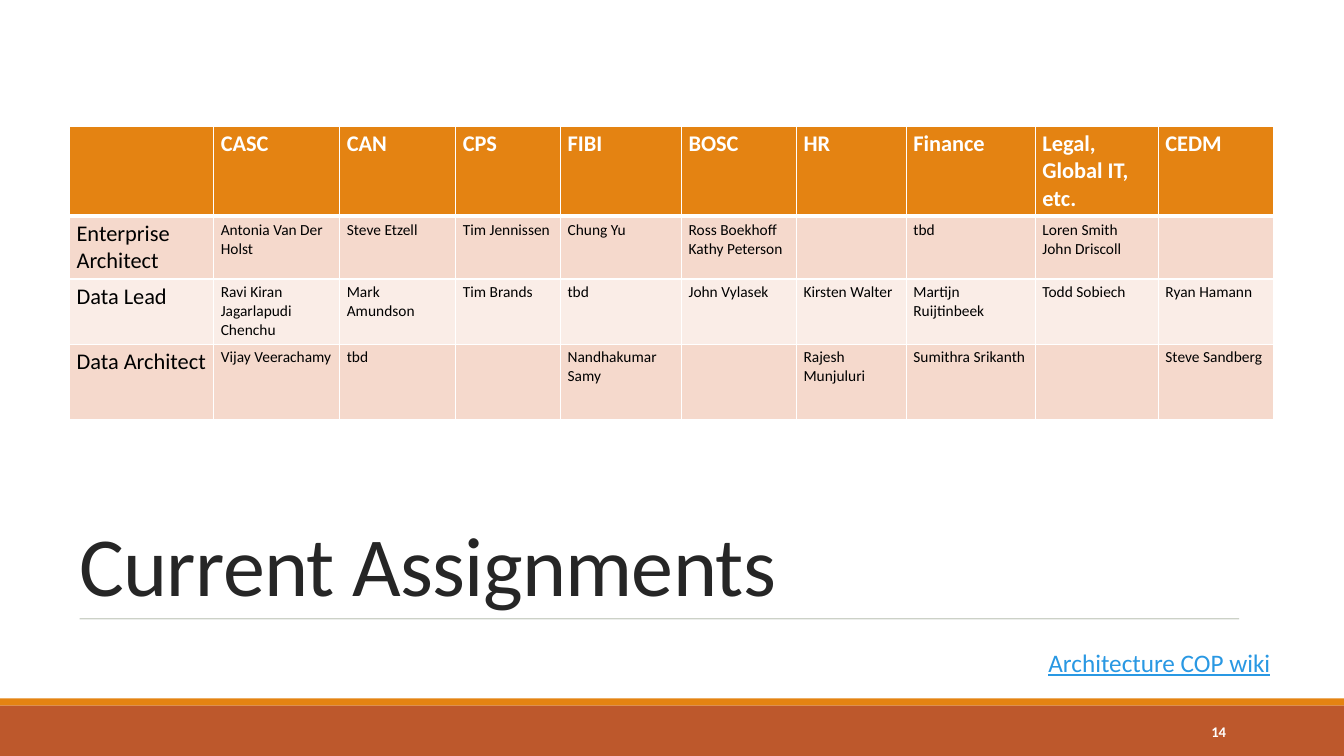
from dataclasses import dataclass

import pptx
import pptx.dml.color
import pptx.enum.shapes
import pptx.enum.text
import pptx.oxml
import pptx.oxml.ns
import pptx.util
from pptx.util import Inches

ANCHOR = pptx.enum.text.MSO_ANCHOR
ALIGN = pptx.enum.text.PP_ALIGN


@dataclass(frozen=True)
class Theme:
    font: str = "Calibri"
    white: str = "FFFFFF"
    black: str = "000000"
    title: str = "262626"
    rule: str = "637052"
    link: str = "2998E3"
    orange: str = "E48312"
    rust: str = "BD582C"
    band_dark: str = "F5D9CC"
    band_light: str = "FAEDE7"
    title_size: float = 60
    link_size: float = 18
    label_size: float = 16
    name_size: float = 11
    number_size: float = 10.5


@dataclass(frozen=True)
class Bar:
    top: float
    height: float
    color: str


@dataclass(frozen=True)
class Label:
    text: str
    left: float
    top: float
    width: float
    height: float
    size: float
    color: str
    bold: bool = False
    underline: bool = False
    wrap: bool = True
    anchor: ANCHOR = ANCHOR.TOP
    align: ALIGN = ALIGN.LEFT
    line_spacing: float = 1.0
    space_after: float = 0
    tracking: int = 0


@dataclass(frozen=True)
class Row:
    height: float
    cells: tuple[str, ...]


THEME = Theme()
SLIDE_WIDTH, SLIDE_HEIGHT = 13.33, 7.5

BARS = (
    Bar(6.93, 0.07, THEME.orange),
    Bar(7, 0.5, THEME.rust),
)

LABELS = (
    Label("Current Assignments", 0.69, 4.98, 11.93, 1.16, THEME.title_size, THEME.title,
          anchor=ANCHOR.BOTTOM, line_spacing=0.85, tracking=-50),
    Label("14", 10.83, 7.06, 1.43, 0.4, THEME.number_size, THEME.white, bold=True,
          wrap=False, anchor=ANCHOR.MIDDLE, align=ALIGN.RIGHT, space_after=6),
    Label("Architecture COP wiki", 10.3, 6.37, 2.48, 0.4, THEME.link_size, THEME.link,
          underline=True),
)

COLUMN_WIDTHS = (1.43, 1.25, 1.15, 1.04, 1.2, 1.14, 1.09, 1.28, 1.22, 1.14)

ROWS = (
    Row(0.53, ("", "CASC", "CAN", "CPS", "FIBI", "BOSC", "HR", "Finance",
               "Legal, Global IT, etc.", "CEDM")),
    Row(0.6, ("Enterprise Architect", "Antonia Van Der Holst", "Steve Etzell",
              "Tim Jennissen", "Chung Yu", "Ross Boekhoff\nKathy Peterson", "", "tbd",
              "Loren Smith\nJohn Driscoll", "")),
    Row(0.6, ("Data Lead", "Ravi Kiran Jagarlapudi Chenchu", "Mark Amundson",
              "Tim Brands", "tbd", "John Vylasek", "Kirsten Walter",
              "Martijn Ruijtinbeek", "Todd Sobiech", "Ryan Hamann")),
    Row(0.75, ("Data Architect", "Vijay Veerachamy", "tbd", "", "Nandhakumar Samy", "",
               "Rajesh Munjuluri", "Sumithra Srikanth", "", "Steve Sandberg")),
)


def rgb(color: str) -> pptx.dml.color.RGBColor:
    return pptx.dml.color.RGBColor.from_string(color)


def format_runs(p, size: float, color: str, bold: bool = False,
                underline: bool = False) -> None:
    for r in p.runs:
        r.font.name = THEME.font
        r.font.size = pptx.util.Pt(size)
        r.font.bold = bold
        r.font.underline = underline
        r.font.color.rgb = rgb(color)


def draw_bar(s, bar: Bar) -> None:
    sp = s.shapes.add_shape(pptx.enum.shapes.MSO_SHAPE.RECTANGLE, 0, Inches(bar.top),
                            Inches(SLIDE_WIDTH), Inches(bar.height))
    sp.shadow.inherit = False
    sp.fill.solid()
    sp.fill.fore_color.rgb = rgb(bar.color)
    sp.line.fill.background()


def draw_rule(s, left: float, right: float, top: float) -> None:
    line = s.shapes.add_connector(pptx.enum.shapes.MSO_CONNECTOR.STRAIGHT, Inches(left),
                                  Inches(top), Inches(right), Inches(top))
    line.line.color.rgb = rgb(THEME.rule)
    line.line.width = pptx.util.Pt(0.5)
    sp_pr = line._element.spPr
    color = sp_pr.find(".//" + pptx.oxml.ns.qn("a:srgbClr"))
    color.append(pptx.oxml.parse_xml(
        f'<a:alpha {pptx.oxml.ns.nsdecls("a")} val="90000"/>'))
    sp_pr.append(pptx.oxml.parse_xml(f'<a:effectLst {pptx.oxml.ns.nsdecls("a")}/>'))


def draw_label(s, label: Label) -> None:
    box = s.shapes.add_textbox(Inches(label.left), Inches(label.top),
                               Inches(label.width), Inches(label.height))
    tf = box.text_frame
    tf.word_wrap = label.wrap
    tf.vertical_anchor = label.anchor
    tf.text = label.text
    p = tf.paragraphs[0]
    p.alignment = label.align
    p.line_spacing = label.line_spacing
    p.space_after = pptx.util.Pt(label.space_after)
    format_runs(p, label.size, label.color, label.bold, label.underline)
    if label.tracking:
        p.runs[0].font._element.set("spc", str(label.tracking))


def set_borders(cell, top: float, bottom: float) -> None:
    tc_pr = cell._tc.get_or_add_tcPr()
    sides = (("L", 1), ("R", 1), ("T", top), ("B", bottom))
    for i, (side, width) in enumerate(sides):
        tc_pr.insert(i, pptx.oxml.parse_xml(
            f'<a:ln{side} {pptx.oxml.ns.nsdecls("a")} w="{pptx.util.Pt(width)}">'
            f'<a:solidFill><a:srgbClr val="{THEME.white}"/></a:solidFill></a:ln{side}>'))


def fill_cell(cell, text: str, row: int, column: int) -> None:
    header = row == 0
    band = THEME.band_dark if row % 2 else THEME.band_light
    cell.fill.solid()
    cell.fill.fore_color.rgb = rgb(THEME.orange if header else band)
    set_borders(cell, 3 if row == 1 else 1, 3 if header else 1)
    cell.margin_left = cell.margin_right = Inches(0.07)
    cell.margin_top = cell.margin_bottom = Inches(0.04)
    cell.text_frame.text = text
    size = THEME.label_size if header or column == 0 else THEME.name_size
    for p in cell.text_frame.paragraphs:
        format_runs(p, size, THEME.white if header else THEME.black, header)


def draw_assignments(s, left: float, top: float) -> None:
    table = s.shapes.add_table(len(ROWS), len(COLUMN_WIDTHS), Inches(left), Inches(top),
                               Inches(sum(COLUMN_WIDTHS)),
                               Inches(sum(row.height for row in ROWS))).table
    for column, width in zip(table.columns, COLUMN_WIDTHS):
        column.width = Inches(width)
    for i, row in enumerate(ROWS):
        table.rows[i].height = Inches(row.height)
        for j, text in enumerate(row.cells):
            fill_cell(table.cell(i, j), text, i, j)


def main() -> None:
    prs = pptx.Presentation()
    prs.slide_width = Inches(SLIDE_WIDTH)
    prs.slide_height = Inches(SLIDE_HEIGHT)
    s = prs.slides.add_slide(prs.slide_layouts[6])
    for bar in BARS:
        draw_bar(s, bar)
    draw_rule(s, 0.79, 12.29, 6.14)
    draw_assignments(s, 0.69, 1.25)
    for label in LABELS:
        draw_label(s, label)
    prs.save("out.pptx")


if __name__ == "__main__":
    main()
